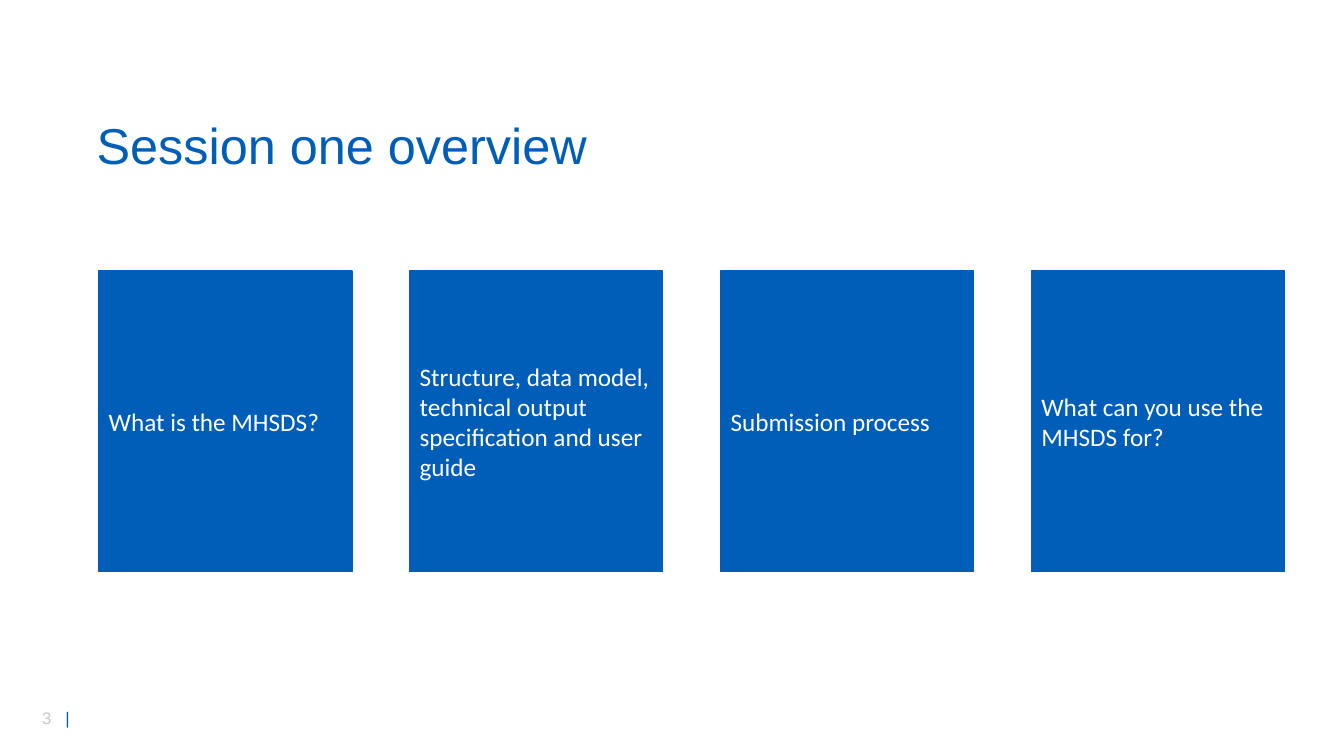
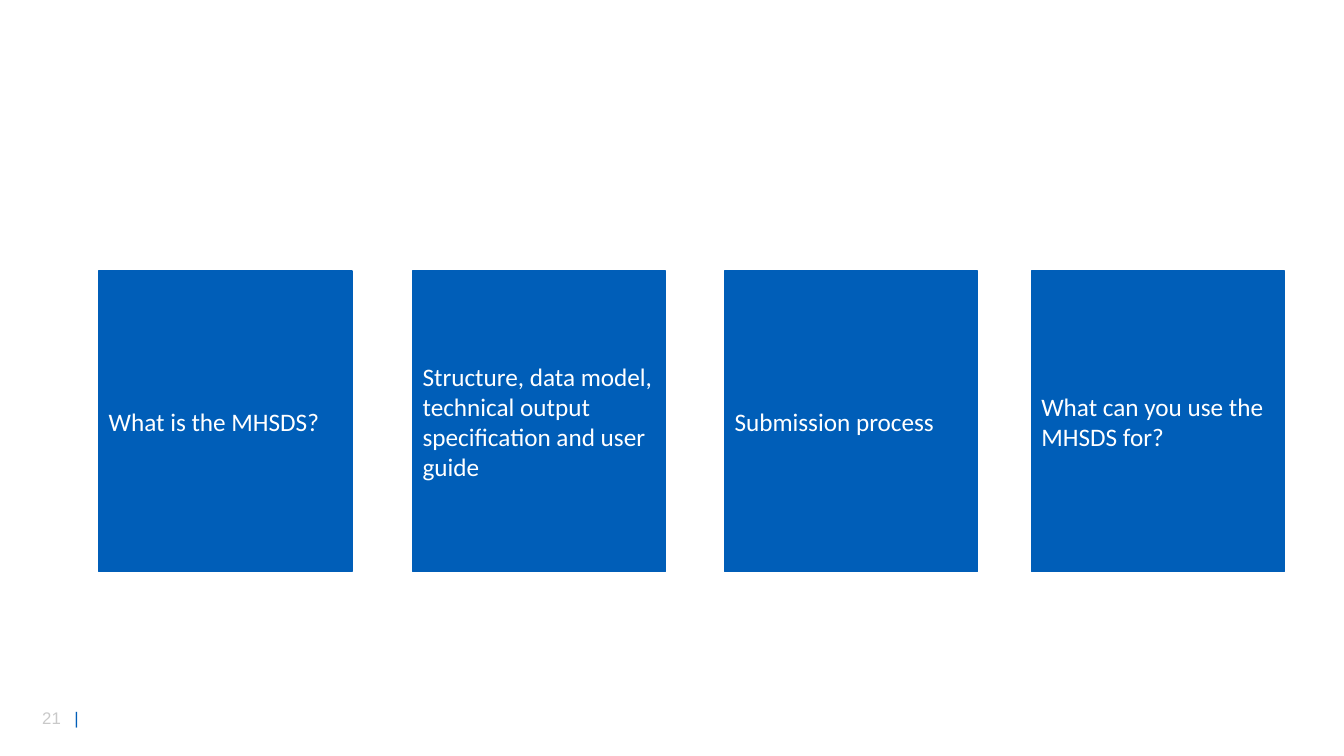
"""Build the two session overview slides."""
import dataclasses

import lxml.etree
import pptx
import pptx.dml.color
import pptx.enum.shapes
import pptx.enum.text
import pptx.oxml.ns
import pptx.util

Inches = pptx.util.Inches
BLUE, GREY, WHITE = "005EB8", "C9C9C9", "FFFFFF"
HEAD, BODY = "Arial", "Calibri"
TOP, WIDE, HIGH = 2.69, 2.51, 2.98
FIRST, LAST = 0.98, 10.23
DIGIT, GAP = 0.09, 0.14
TOPICS = (
    "What is the MHSDS?",
    "Structure, data model, technical output specification and user guide",
    "Submission process",
    "What can you use the MHSDS for?",
)


@dataclasses.dataclass(frozen=True)
class Page:
    """One slide: its number, title and the sideways shift of each card."""
    number: int
    title: str = ""
    shifts: tuple[float, ...] = (0, 0, 0, 0)


PAGES = (
    Page(3, "Session one overview"),
    Page(21, shifts=(0, 0.03, 0.04, 0)),
)


def color(code: str) -> pptx.dml.color.RGBColor:
    """Turn a hex string into a colour."""
    return pptx.dml.color.RGBColor.from_string(code)


def write(shape, text: str, *, size: float, font: str, ink: str,
          middle: bool = False, line: float | None = None) -> None:
    """Add a run of text to the first paragraph of a shape."""
    frame = shape.text_frame
    frame.word_wrap = True
    anchor = pptx.enum.text.MSO_ANCHOR
    frame.vertical_anchor = anchor.MIDDLE if middle else anchor.TOP
    para = frame.paragraphs[0]
    para.alignment = pptx.enum.text.PP_ALIGN.LEFT
    para.line_spacing = line
    run = para.add_run()
    run.text = text
    run.font.size = pptx.util.Pt(size)
    run.font.name = font
    run.font.color.rgb = color(ink)


def box(slide, left: float, top: float, width: float, height: float):
    """Add an empty text box."""
    return slide.shapes.add_textbox(
        Inches(left), Inches(top), Inches(width), Inches(height))


def card(slide, left: float, text: str) -> None:
    """Draw one blue topic card."""
    shape = slide.shapes.add_shape(
        pptx.enum.shapes.MSO_SHAPE.RECTANGLE,
        Inches(left), Inches(TOP), Inches(WIDE), Inches(HIGH))
    shape.shadow.inherit = False
    shape.fill.solid()
    shape.fill.fore_color.rgb = color(BLUE)
    shape.line.color.rgb = color(BLUE)
    shape.line.width = pptx.util.Pt(1)
    write(shape, text, size=18, font=BODY, ink=WHITE, middle=True)


def footer(slide, number: int) -> None:
    """Draw the page number and, at a tab stop after it, the bar."""
    shape = box(slide, 0.32, 6.97, 0.71, 0.3)
    write(shape, f"{number}\t", size=12, font=HEAD, ink=GREY)
    write(shape, "|", size=12, font=HEAD, ink=BLUE)
    name = pptx.oxml.ns.qn
    props = shape.text_frame.paragraphs[0]._p.get_or_add_pPr()
    tabs = lxml.etree.SubElement(props, name("a:tabLst"))
    stop = Inches(DIGIT * len(str(number)) + GAP)
    lxml.etree.SubElement(tabs, name("a:tab"), pos=str(int(stop)), algn="l")


def build(deck, page: Page) -> None:
    """Add one slide with footer, title and cards."""
    slide = deck.slides.add_slide(deck.slide_layouts[6])
    footer(slide, page.number)
    if page.title:
        write(box(slide, 0.86, 1.14, 11.64, 0.67), page.title,
              size=36, font=HEAD, ink=BLUE, middle=True, line=0.9)
    step = (LAST - FIRST) / (len(TOPICS) - 1)
    for spot, (topic, shift) in enumerate(zip(TOPICS, page.shifts)):
        card(slide, FIRST + spot * step + shift, topic)


def main() -> None:
    """Build and save the deck."""
    deck = pptx.Presentation()
    deck.slide_width, deck.slide_height = Inches(13.33), Inches(7.5)
    for page in PAGES:
        build(deck, page)
    deck.save("out.pptx")


main()
